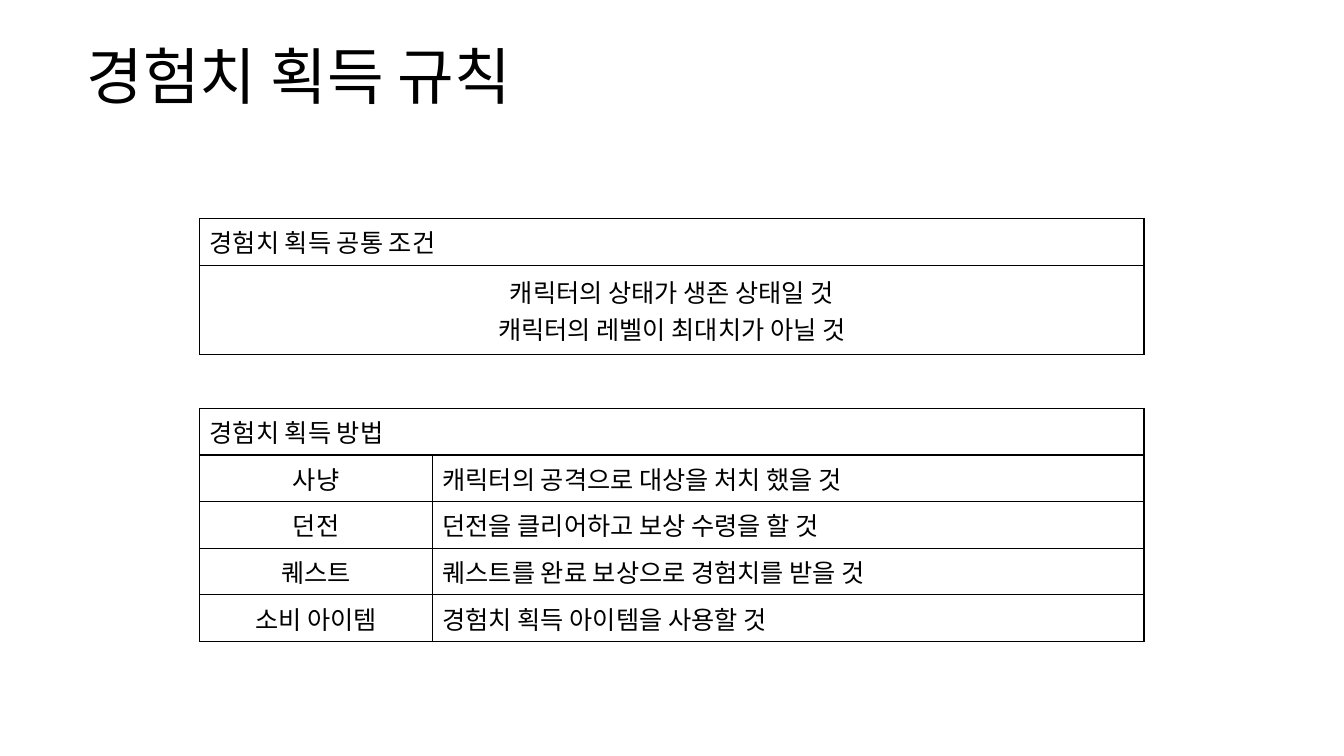
import pptx
import pptx.dml.color
import pptx.enum.text
import pptx.oxml
import pptx.oxml.ns
import pptx.util
from pptx.util import Cm

FONT = "Noto Sans CJK KR"
COLORS = {"ink": "000000", "paper": "FFFFFF"}
LEFT, WIDTH = Cm(5.03), Cm(23.8)
METHOD_WIDTH = Cm(5.87)
ALIGN = pptx.enum.text.PP_ALIGN
MIDDLE = pptx.enum.text.MSO_ANCHOR.MIDDLE

CONDITIONS = [
    ["경험치 획득 공통 조건"],
    ["캐릭터의 상태가 생존 상태일 것\n캐릭터의 레벨이 최대치가 아닐 것"],
]
METHODS = [
    ["경험치 획득 방법", ""],
    ["사냥", "캐릭터의 공격으로 대상을 처치 했을 것"],
    ["던전", "던전을 클리어하고 보상 수령을 할 것"],
    ["퀘스트", "퀘스트를 완료 보상으로 경험치를 받을 것"],
    ["소비 아이템", "경험치 획득 아이템을 사용할 것"],
]


def rgb(name):
    return pptx.dml.color.RGBColor.from_string(COLORS[name])


def format_paragraph(paragraph, size, align=ALIGN.LEFT):
    paragraph.alignment = align
    font = paragraph.font
    font.size = pptx.util.Pt(size)
    font.name = FONT
    font.color.rgb = rgb("ink")
    latin = font._element.find(pptx.oxml.ns.qn("a:latin"))
    latin.addnext(pptx.oxml.parse_xml(
        f'<a:ea {pptx.oxml.ns.nsdecls("a")} typeface="{FONT}"/>'))


def add_borders(cell):
    """Draw a thin line on all four sides; call before setting the fill."""
    properties = cell._tc.get_or_add_tcPr()
    for side in ("lnL", "lnR", "lnT", "lnB"):
        properties.append(pptx.oxml.parse_xml(
            f'<a:{side} {pptx.oxml.ns.nsdecls("a")} w="12700"><a:solidFill>'
            f'<a:srgbClr val="{COLORS["ink"]}"/></a:solidFill></a:{side}>'))


def add_title(page, text):
    title = page.shapes.title
    title.left, title.top, title.width, title.height = Cm(1.93), Cm(0.81), Cm(30), Cm(2.39)
    frame = title.text_frame
    frame.text = text
    frame.auto_size = pptx.enum.text.MSO_AUTO_SIZE.NONE
    frame.vertical_anchor = MIDDLE
    paragraph = frame.paragraphs[0]
    paragraph.line_spacing = 0.9
    format_paragraph(paragraph, 44)


def add_rule_table(page, top, rows, widths, heights):
    """Add a table with a left-aligned header and a centred first column."""
    table = page.shapes.add_table(
        len(rows), len(widths), LEFT, top, sum(widths), sum(heights)).table
    table.first_row = table.horz_banding = False
    for column, width in zip(table.columns, widths):
        column.width = width
    for row, height in zip(table.rows, heights):
        row.height = height
    for r, texts in enumerate(rows):
        for c, text in enumerate(texts):
            cell = table.cell(r, c)
            cell.text = text
            cell.vertical_anchor = MIDDLE
            add_borders(cell)
            cell.fill.solid()
            cell.fill.fore_color.rgb = rgb("paper")
            align = ALIGN.CENTER if r > 0 and c == 0 else ALIGN.LEFT
            for paragraph in cell.text_frame.paragraphs:
                format_paragraph(paragraph, 18, align)
    if len(widths) > 1:
        table.cell(0, 0).merge(table.cell(0, len(widths) - 1))


def main():
    deck = pptx.Presentation()
    deck.slide_width, deck.slide_height = Cm(33.87), Cm(19.05)
    page = deck.slides.add_slide(deck.slide_layouts[5])
    add_title(page, "경험치 획득 규칙")
    add_rule_table(page, Cm(10.29), METHODS,
                   [METHOD_WIDTH, WIDTH - METHOD_WIDTH], [Cm(1.03)] * len(METHODS))
    add_rule_table(page, Cm(5.51), CONDITIONS, [WIDTH], [Cm(1.03), Cm(2.26)])
    deck.save("out.pptx")


if __name__ == "__main__":
    main()
